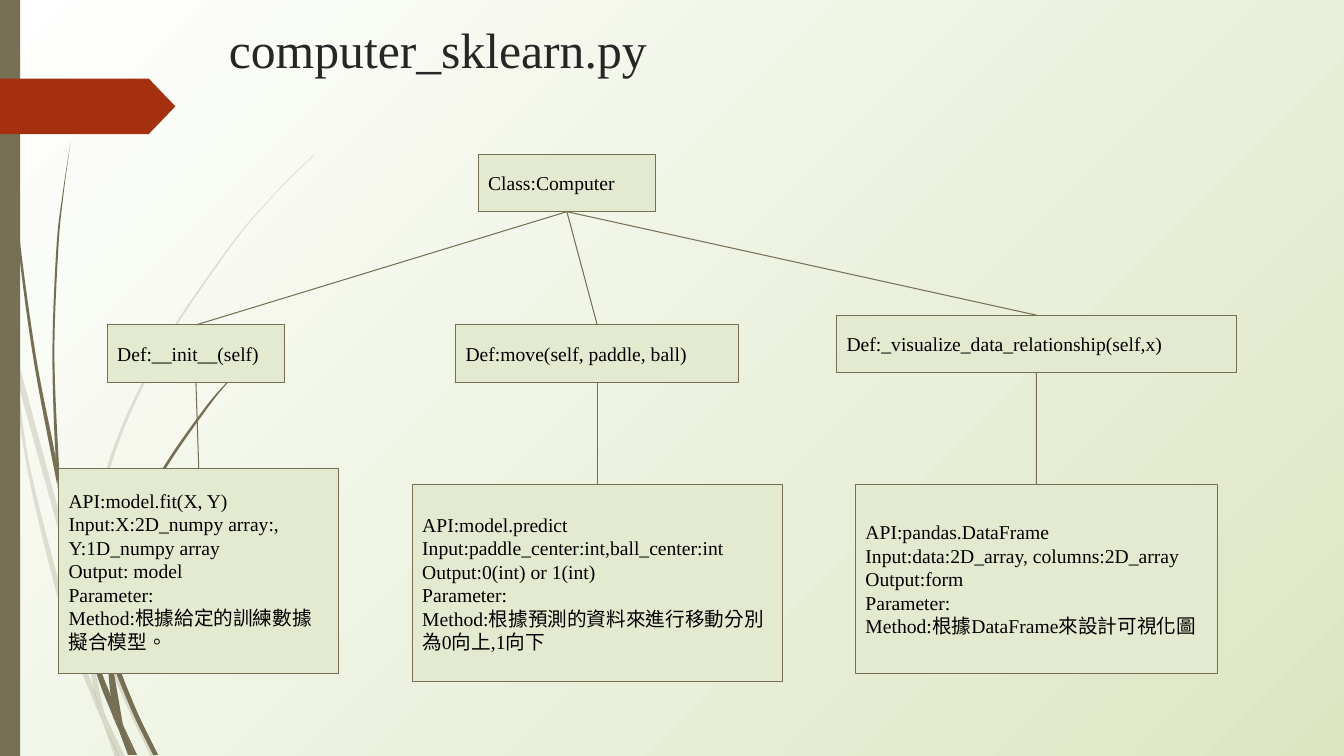
from dataclasses import dataclass
from typing import Any

from lxml import etree
from pptx import Presentation
from pptx import util as u
from pptx.dml.color import RGBColor
from pptx.enum import lang, shapes, text
from pptx.oxml.ns import qn

COLUMNS, ROWS = 133.33, 75
CELL = u.Inches(0.1)
TOP_SITE, BOTTOM_SITE = 0, 2

Point = tuple[float, float]
Segment = tuple[Point, Point, Point]


@dataclass(frozen=True)
class Theme:
    font: str = "Times New Roman"
    title_size: float = 35.5
    body_size: float = 14
    line_width: float = 0.75
    title: str = "262626"
    body: str = "000000"
    box: str = "E3EACF"
    stem: str = "766F54"
    accent: str = "A53010"
    background: tuple[str, str] = ("FFFFFF", "DDE6C3")
    faint_alpha: int = 20


@dataclass(frozen=True)
class Box:
    """A text box on the grid: column, row, width and height in cells."""
    name: str
    column: float
    row: float
    width: float
    height: float
    lines: tuple[str, ...]
    parent: str = ""


@dataclass(frozen=True)
class Strand:
    """A blade of grass between two edges."""
    left: tuple[Point, ...]
    right: tuple[Point, ...]


THEME = Theme()

BOXES = (
    Box("class", 47.44, 15.3, 17.6, 5.7, ("Class:Computer",)),
    Box("init", 10.64, 32.24, 17.6, 5.7, ("Def:__init__(self)",), "class"),
    Box("move", 45.2, 32.24, 28.1, 5.7, ("Def:move(self, paddle, ball)",), "class"),
    Box("visualize", 83, 31.27, 39.65, 5.7, ("Def:_visualize_data_relationship(self,x)",), "class"),
    Box("fit", 5.82, 46.5, 27.8, 20.3, (
        "API:model.fit(X, Y)", "Input:X:2D_numpy array:, Y:1D_numpy array", "Output: model",
        "Parameter:", "Method:根據給定的訓練數據擬合模型。"), "init"),
    Box("predict", 40.9, 48.1, 36.7, 19.5, (
        "API:model.predict", "Input:paddle_center:int,ball_center:int", "Output:0(int) or 1(int)",
        "Parameter:", "Method:根據預測的資料來進行移動分別為0向上,1向下"), "move"),
    Box("frame", 84.87, 48.1, 35.9, 18.7, (
        "API:pandas.DataFrame", "Input:data:2D_array, columns:2D_array", "Output:form",
        "Parameter:", "Method:根據DataFrame來設計可視化圖"), "visualize"),
)

FAINT_STRANDS = (
    Strand(((1.1, 35), (0.9, 32.2), (0, 28.2)), ((1.1, 35), (1, 34.4), (0, 29.9))),
    Strand(((5.7, 52.2), (8.4, 59.9), (8.5, 58.6)),
           ((5.7, 52.2), (1.7, 37.6), (1.4, 34.5), (6.2, 52), (8.5, 58.6))),
    Strand(((8.8, 59.6), (8.8, 61), (12.3, 69.4), (15, 75.1)),
           ((8.8, 59.6), (9.2, 60.7), (12.7, 69.2), (15.5, 75.1))),
    Strand(((10.5, 71.1), (11.9, 75.1)), ((10.5, 71.1), (12.4, 75.1))),
    Strand(((1.1, 35), (2.8, 47), (6.5, 62.1), (9.2, 69.3), (10.1, 71.4)),
           ((1.1, 35), (1.7, 37.6), (3.1, 46.9), (7, 61.9), (9.3, 68.3), (9.9, 70.7),
            (10.1, 71.4))),
    Strand(((8.4, 59.9), (8.7, 64.6), (9.3, 68.3), (9.6, 69.2), (10.5, 71.1)),
           ((8.4, 59.9), (8.8, 61), (9.1, 64.6), (10.3, 70.6), (10.5, 71.1))),
    Strand(((31.2, 15.3), (28.9, 17.5), (26.8, 19.7), (22.8, 24.4), (15.8, 34.8),
            (10.7, 46.1), (8.5, 58.4), (8.8, 59.6)),
           ((31.2, 15.4), (29, 17.5), (26.8, 19.8), (22.9, 24.5), (16, 34.9),
            (11, 46.2), (8.8, 58.4), (8.8, 59.6))),
    Strand(((10.1, 71.4), (11.4, 75.1)), ((10.1, 71.4), (11.9, 75.1))),
    Strand(((9.3, 68.3), (9.9, 70.7), (10.1, 71.4), (11.8, 75.1)),
           ((9.3, 68.3), (9.6, 69.2), (10.5, 71.1), (11.9, 75.1))),
)

SOLID_STRANDS = (
    Strand(((0.3, 0), (0.4, 4.8), (0.7, 11), (1.7, 23.3), (3.3, 35.5), (5.6, 47.7), (5.7, 48.1)),
           ((0.4, 0), (0.5, 4.8), (0.8, 10.9), (1.9, 23.2), (3.6, 35.5), (5.5, 45.3),
            (5.7, 48.1))),
    Strand(((11, 64.1), (11.1, 65.6), (13.2, 70.8), (15.2, 74.9)),
           ((11, 64.1), (11.3, 64.9), (13.6, 70.6), (15.7, 74.9))),
    Strand(((5.7, 47.7), (6.8, 55.7), (9.3, 65.9), (11.1, 70.8), (11.7, 72.2)),
           ((5.7, 47.7), (6.4, 50.5), (7.2, 55.6), (9.8, 65.7), (11, 69.1), (11.7, 72.2))),
    Strand(((7, 14.1), (6.2, 19.3), (5.6, 24.5), (5.2, 34.9), (5.5, 44.9), (6, 47.2)),
           ((7, 14.1), (6.3, 19.3), (5.8, 24.5), (5.4, 34.9), (5.8, 45.3), (6, 47.2))),
    Strand(((12.2, 71.9), (13.3, 74.9)), ((12.2, 71.9), (13.6, 74.9))),
    Strand(((5.5, 44.9), (5.5, 45.3), (5.7, 47.7), (6.4, 50.5)),
           ((5.5, 44.9), (6, 47.2), (6.4, 50.5))),
    Strand(((26, 34.4), (24.5, 35.8), (23.1, 37.3), (20.3, 40.5), (15.6, 47.4), (12.2, 55.1),
            (10.6, 63.1), (11, 64.1)),
           ((26.1, 34.4), (24.5, 35.9), (23.1, 37.4), (20.5, 40.6), (15.8, 47.6), (12.5, 55.2),
            (11.1, 63.3), (11, 64.1))),
    Strand(((11.7, 72.2), (12.7, 74.9)), ((11.7, 72.2), (13.1, 74.9))),
    Strand(((10.6, 64.5), (11, 69.1), (11.6, 70.6), (12.2, 71.9)),
           ((10.6, 64.5), (10.9, 65.1), (11.1, 65.6), (12.2, 71.9))),
    Strand(((11, 69.1), (11.6, 71.7), (11.7, 72.2), (13, 74.9)),
           ((11, 69.1), (11.6, 70.6), (12.2, 71.9), (13.3, 74.9))),
)


def cells(count: float) -> int:
    return round(count * CELL)


def apply_format(target: Any, values: dict[str, Any]) -> None:
    for name, value in values.items():
        setattr(target, name, value)


def paint(shape: Any, color: str, outline: str = "") -> None:
    shape.shadow.inherit = False
    shape.fill.solid()
    shape.fill.fore_color.rgb = RGBColor.from_string(color)
    if outline:
        shape.line.color.rgb = RGBColor.from_string(outline)
        shape.line.width = u.Pt(THEME.line_width)
    else:
        shape.line.fill.background()


def write(shape: Any, lines: tuple[str, ...], size: float, color: str,
          frame_format: dict[str, Any]) -> None:
    frame = shape.text_frame
    apply_format(frame, {"text": "\n".join(lines), "word_wrap": True,
                         "auto_size": text.MSO_AUTO_SIZE.NONE, **frame_format})
    for paragraph in frame.paragraphs:
        paragraph.alignment = text.PP_ALIGN.LEFT
        for run in paragraph.runs:
            apply_format(run.font, {"name": THEME.font, "size": u.Pt(size),
                                    "language_id": lang.MSO_LANGUAGE_ID.TRADITIONAL_CHINESE})
            run.font.color.rgb = RGBColor.from_string(color)


def curve_through(edge: tuple[Point, ...]) -> list[Segment]:
    """Return Bézier segments (two handles and an end) of a smooth curve through the edge."""
    padded = (edge[0], *edge, edge[-1])
    return [((b[0] + (c[0] - a[0]) / 6, b[1] + (c[1] - a[1]) / 6),
             (c[0] - (d[0] - b[0]) / 6, c[1] - (d[1] - b[1]) / 6), c)
            for a, b, c, d in zip(padded, padded[1:], padded[2:], padded[3:])]


def draw_strand(slide: Any, strand: Strand, alpha: int = 100) -> None:
    start, left_end, right_end = strand.left[0], strand.left[-1], strand.right[-1]
    tip = [(left_end, right_end, right_end)] if left_end != right_end else []
    segments = curve_through(strand.left) + tip + curve_through(strand.right[::-1])
    builder = slide.shapes.build_freeform(*map(cells, start), scale=1.0)
    builder.add_line_segments([tuple(map(cells, end)) for _, _, end in segments], close=True)
    shape = builder.convert_to_shape()
    for straight, segment in zip(list(shape.element.iter(qn("a:lnTo"))), segments):
        bend = etree.Element(qn("a:cubicBezTo"))
        for x, y in segment:
            etree.SubElement(bend, qn("a:pt"), {"x": str(cells(x) - shape.left),
                                                "y": str(cells(y) - shape.top)})
        straight.getparent().replace(straight, bend)
    paint(shape, THEME.stem)
    if alpha < 100:
        color = shape.element.spPr.find(qn("a:solidFill"))[0]
        etree.SubElement(color, qn("a:alpha")).set("val", str(alpha * 1000))


def draw_box(slide: Any, box: Box) -> Any:
    shape = slide.shapes.add_shape(
        shapes.MSO_SHAPE.RECTANGLE, *map(cells, (box.column, box.row, box.width, box.height)))
    paint(shape, THEME.box, THEME.stem)
    margins = dict.fromkeys(("margin_left", "margin_top", "margin_right", "margin_bottom"), CELL)
    write(shape, box.lines, THEME.body_size, THEME.body,
          {"vertical_anchor": text.MSO_ANCHOR.MIDDLE, **margins})
    return shape


def link(slide: Any, parent: Any, child: Any) -> None:
    line = slide.shapes.add_connector(shapes.MSO_CONNECTOR.STRAIGHT, 0, 0, 0, 0)
    line.begin_connect(parent, BOTTOM_SITE)
    line.end_connect(child, TOP_SITE)
    line.line.color.rgb = RGBColor.from_string(THEME.stem)
    line.line.width = u.Pt(THEME.line_width)
    etree.SubElement(line.element.spPr, qn("a:effectLst"))


def draw_background(slide: Any) -> None:
    """Fill the slide with a gradient that spreads from the top left corner."""
    fill = slide.background.fill
    fill.gradient()
    for stop, color in zip(fill.gradient_stops, THEME.background):
        stop.color.rgb = RGBColor.from_string(color)
    gradient = slide.element.find(f".//{qn('a:gradFill')}")
    gradient.remove(gradient.find(qn("a:lin")))
    spread = etree.SubElement(gradient, qn("a:path"), {"path": "circle"})
    etree.SubElement(spread, qn("a:fillToRect"), {"r": "100000", "b": "100000"})


def main() -> None:
    presentation = Presentation()
    apply_format(presentation, {"slide_width": cells(COLUMNS), "slide_height": cells(ROWS)})
    slide = presentation.slides.add_slide(presentation.slide_layouts.get_by_name("Title Only"))
    draw_background(slide)
    for strand in FAINT_STRANDS:
        draw_strand(slide, strand, THEME.faint_alpha)
    for strand in SOLID_STRANDS:
        draw_strand(slide, strand)
    side_bar = slide.shapes.add_shape(shapes.MSO_SHAPE.RECTANGLE, 0, 0, cells(2), cells(ROWS))
    paint(side_bar, THEME.stem)
    marker = slide.shapes.add_shape(
        shapes.MSO_SHAPE.PENTAGON, 0, cells(7.8), cells(17.4), cells(5.5))
    marker.adjustments[0] = 0.48
    paint(marker, THEME.accent)
    title = slide.shapes.title
    apply_format(title, {"left": cells(21.7), "top": cells(1.4),
                         "width": cells(97.4), "height": cells(14)})
    write(title, ("computer_sklearn.py",), THEME.title_size, THEME.title,
          {"vertical_anchor": text.MSO_ANCHOR.TOP})
    drawn = {box.name: draw_box(slide, box) for box in BOXES}
    for box in BOXES:
        if box.parent:
            link(slide, drawn[box.parent], drawn[box.name])
    presentation.save("out.pptx")


if __name__ == "__main__":
    main()
